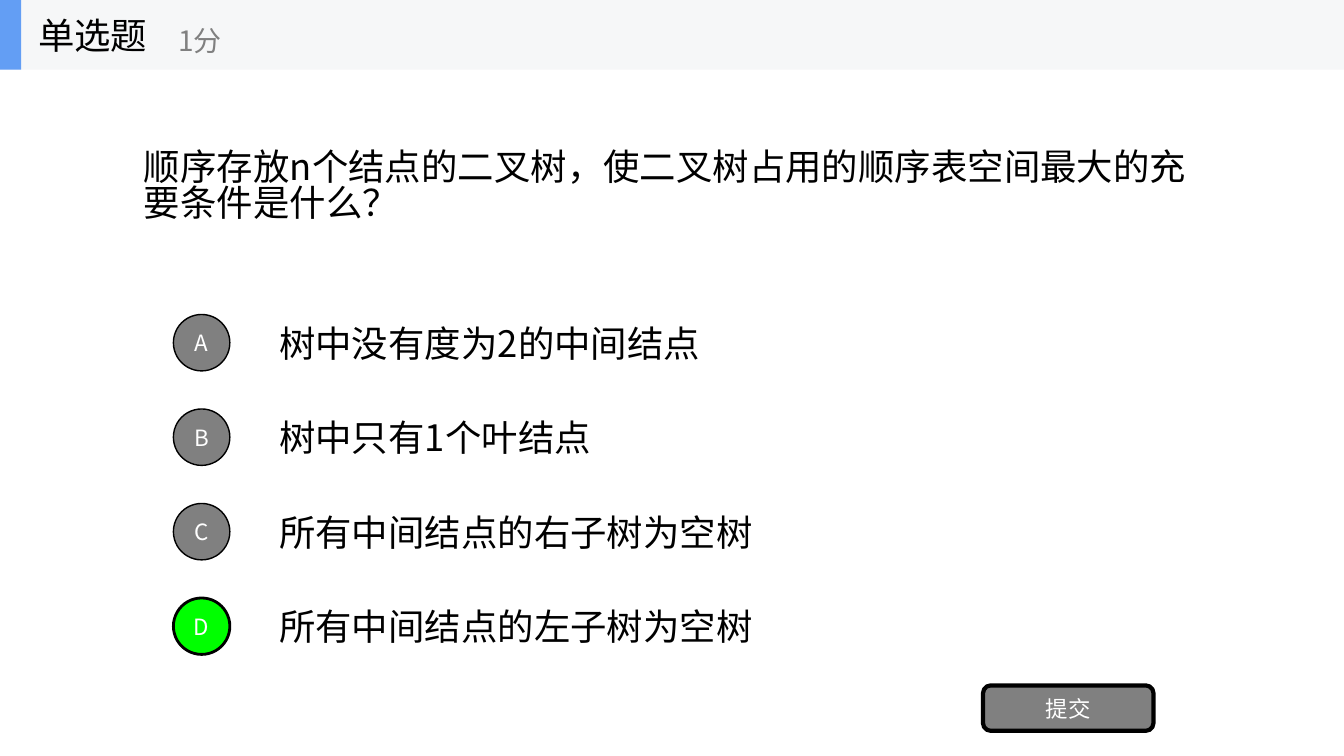
import pptx
import pptx.dml.color
import pptx.enum.shapes
import pptx.enum.text
import pptx.oxml
import pptx.oxml.ns
import pptx.util
from pptx.util import Inches

FONT = "Noto Sans CJK SC"
BLACK, GREY, WHITE, GREEN = "000000", "808080", "FFFFFF", "00FF00"
SHAPES = pptx.enum.shapes.MSO_SHAPE
ALIGN = pptx.enum.text.PP_ALIGN


def rgb(hex_color):
    return pptx.dml.color.RGBColor.from_string(hex_color)


def write(frame, text, size, color, align=ALIGN.LEFT, wrap=True):
    frame.word_wrap = wrap
    frame.vertical_anchor = pptx.enum.text.MSO_ANCHOR.MIDDLE
    paragraph = frame.paragraphs[0]
    paragraph.text = text
    paragraph.alignment = align
    font = paragraph.font
    font.size = pptx.util.Pt(size)
    font.name = FONT
    font.color.rgb = rgb(color)
    # Chinese characters take their typeface from a:ea
    properties = paragraph._p.pPr.find(pptx.oxml.ns.qn("a:defRPr"))
    east_asian = pptx.oxml.parse_xml(
        f'<a:ea {pptx.oxml.ns.nsdecls("a")} typeface="{FONT}"/>')
    properties.append(east_asian)
    return paragraph


def add_label(slide, box, text, size=26, color=BLACK, wrap=True):
    label = slide.shapes.add_textbox(*map(Inches, box))
    return write(label.text_frame, text, size, color, wrap=wrap)


def add_block(slide, kind, box, fill, line_width=0):
    block = slide.shapes.add_shape(kind, *map(Inches, box))
    block.shadow.inherit = False
    block.fill.solid()
    block.fill.fore_color.rgb = rgb(fill)
    if line_width:
        block.line.color.rgb = rgb(BLACK)
        block.line.width = pptx.util.Pt(line_width)
    else:
        block.line.fill.background()
    return block


def add_button(slide, kind, box, text, fill, line_width):
    button = add_block(slide, kind, box, fill, line_width)
    frame = button.text_frame
    frame.margin_left = frame.margin_right = 0
    frame.margin_top = frame.margin_bottom = 0
    write(frame, text, 16, WHITE, ALIGN.CENTER)


def add_header(slide, left, top, width, height):
    add_block(slide, SHAPES.RECTANGLE, (left, top, width, height), "F6F7F8")
    add_block(slide, SHAPES.RECTANGLE, (left, top, 0.21, height), "639EF4")
    add_label(slide, (left + 0.28, top, 2.08, height), "单选题", wrap=False)
    add_label(slide, (left + 1.67, top + 0.12, 2.5, 0.56), "1分", 20, GREY, wrap=False)


def add_question(slide, left, top, width, height):
    question = add_label(
        slide, (left, top, width, height),
        "顺序存放n个结点的二叉树，使二叉树占用的顺序表空间最大的充要条件是什么？")
    question.line_spacing = 0.83


def add_options(slide, left, top, width, height, options, answer):
    pitch = height / len(options)
    row_height, circle = 0.7, 0.56
    for index, (letter, text) in enumerate(options.items()):
        row_top = top + index * pitch
        add_label(slide, (left + 0.95, row_top, width - 0.95, row_height), text)
        fill, line_width = (GREEN, 2) if letter == answer else (GREY, 1)
        circle_top = row_top + (row_height - circle) / 2
        add_button(slide, SHAPES.OVAL, (left, circle_top, circle, circle),
                   letter, fill, line_width)


def main():
    presentation = pptx.Presentation()
    presentation.slide_width = Inches(13.33)
    presentation.slide_height = Inches(7.5)
    slide = presentation.slides.add_slide(presentation.slide_layouts[6])

    # Question and its answers
    add_question(slide, 1.33, 0.69, 10.67, 2.34)
    options = {
        "A": "树中没有度为2的中间结点",
        "B": "树中只有1个叶结点",
        "C": "所有中间结点的右子树为空树",
        "D": "所有中间结点的左子树为空树",
    }
    add_options(slide, 1.72, 3.05, 10.28, 3.75, options, answer="D")

    # Submit button and title bar
    add_button(slide, SHAPES.ROUNDED_RECTANGLE, (9.75, 6.8, 1.69, 0.45), "提交", GREY, 3)
    add_header(slide, 0, 0, 13.33, 0.69)
    presentation.save("out.pptx")


if __name__ == "__main__":
    main()
